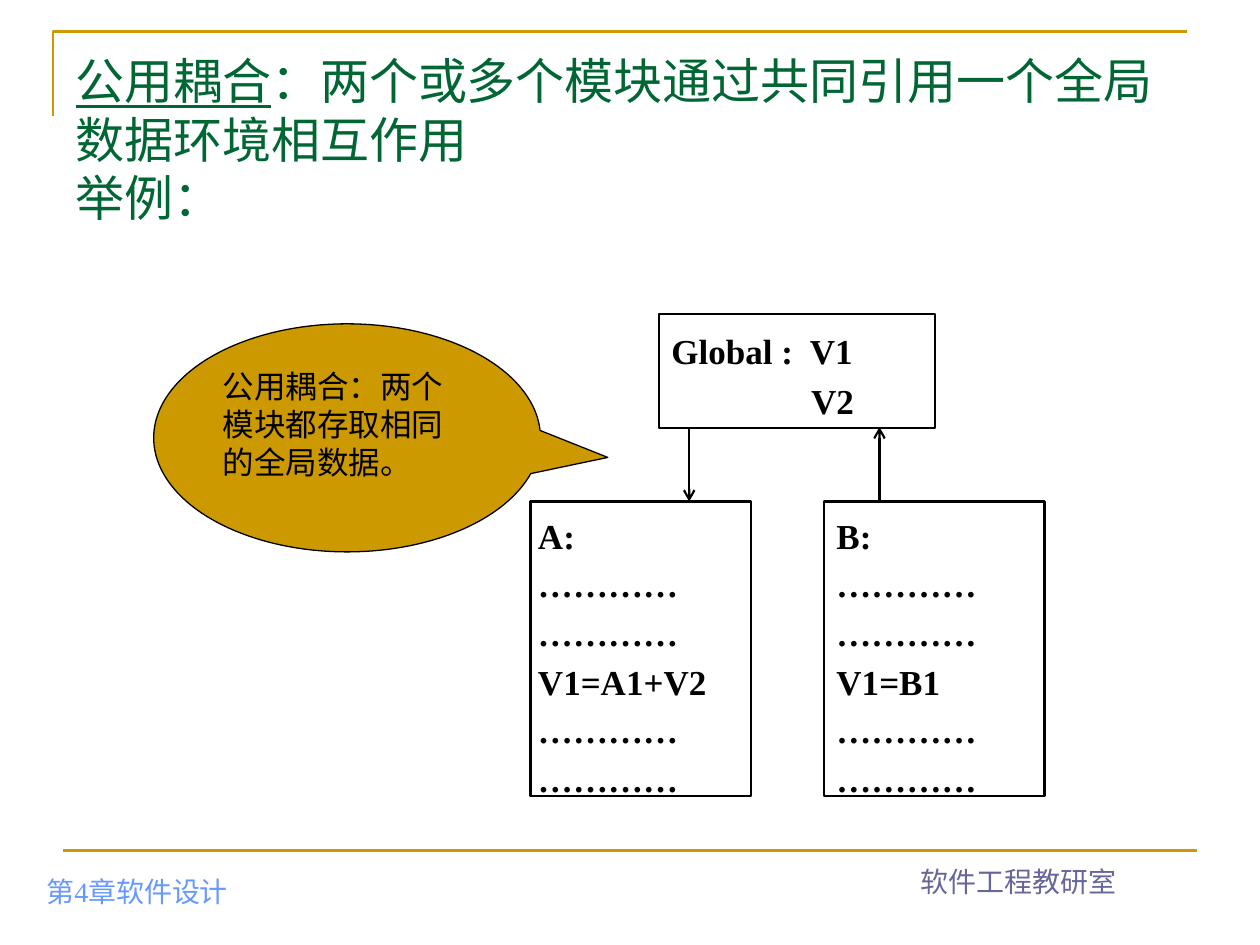
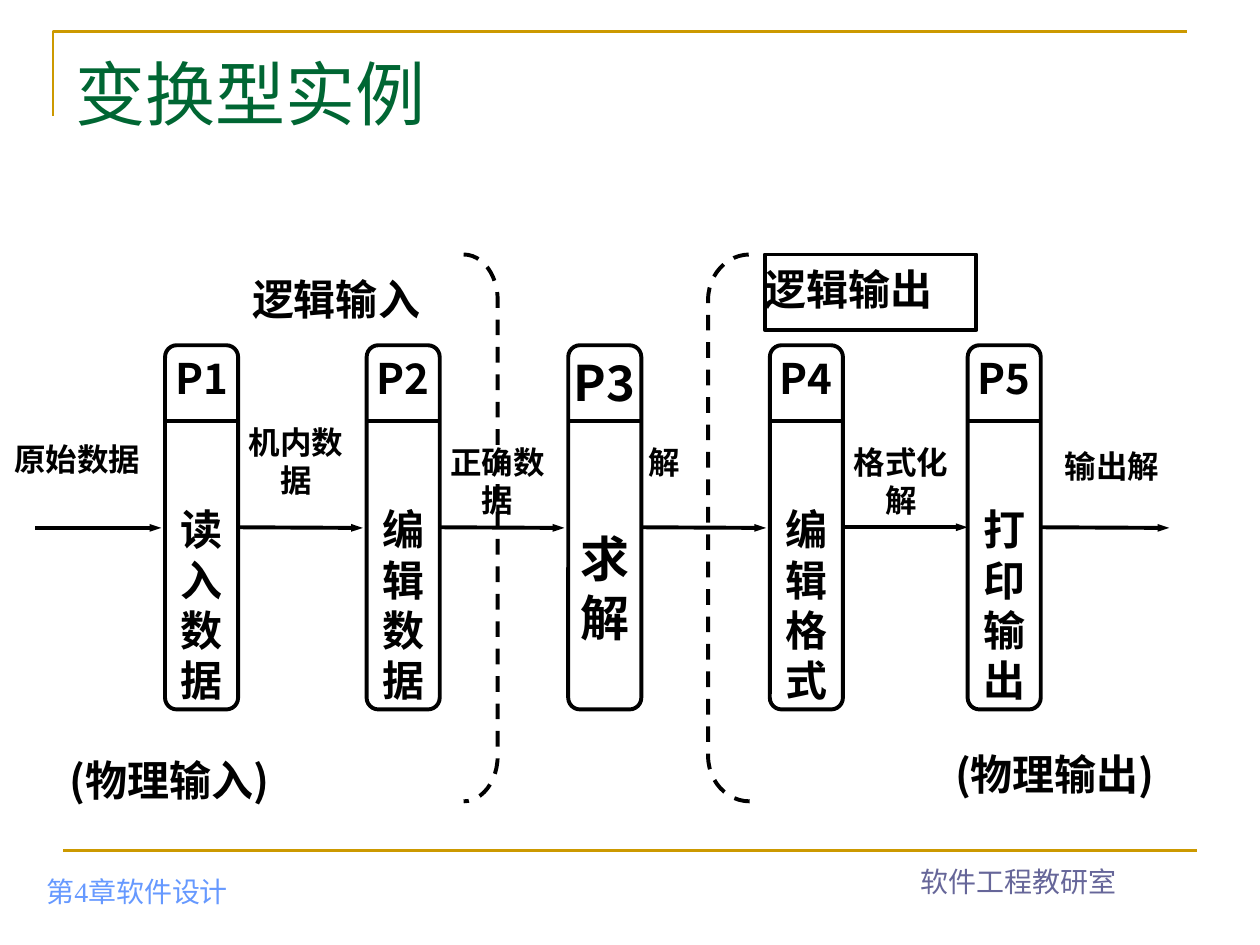
from lxml import etree
from pptx import Presentation
from pptx import util as u
from pptx.dml.color import RGBColor
from pptx.enum import dml, shapes, text
from pptx.oxml.ns import qn

Inches = u.Inches
COLORS = {
    "gold": "CC9900",
    "green": "006633",
    "sky": "6699FF",
    "violet": "666699",
    "black": "000000",
    "white": "FFFFFF",
}
SANS = "Noto Sans CJK SC"
SERIF = "Times New Roman"
LEFT, CENTER = text.PP_ALIGN.LEFT, text.PP_ALIGN.CENTER
TOP, BOTTOM = text.MSO_ANCHOR.TOP, text.MSO_ANCHOR.BOTTOM
SHAPE = shapes.MSO_SHAPE


class Deck:
    def __init__(self):
        self.presentation = Presentation()
        self.presentation.slide_width = Inches(10)
        self.presentation.slide_height = Inches(7.5)
        self.slide = None

    def color(self, name):
        return RGBColor.from_string(COLORS[name])

    def new_slide(self):
        layout = self.presentation.slide_layouts[5]
        self.slide = self.presentation.slides.add_slide(layout)
        builder = self.slide.shapes.build_freeform(Inches(0.42), Inches(0.92))
        builder.add_line_segments(
            [(Inches(0.42), Inches(0.25)), (Inches(9.42), Inches(0.25))], close=False)
        self.paint(builder.convert_to_shape(), None, "gold", 1.5)
        self.line((0.5, 6.75), (9.5, 6.75), 1.5, "gold")
        footer = dict(size=16, font=SERIF, anchor=BOTTOM, insets=(0.1, 0.05, 0.1, 0.03))
        self.label((0.27, 6.74, 3.15, 0.5), "第4章软件设计", color="sky", **footer)
        self.label((6.5, 6.66, 3.17, 0.5), "软件工程教研室", color="violet",
                   align=CENTER, **footer)

    def paint(self, shape, fill, line, width):
        shape.shadow.inherit = False
        if fill:
            shape.fill.solid()
            shape.fill.fore_color.rgb = self.color(fill)
        else:
            shape.fill.background()
        shape.line.color.rgb = self.color(line)
        shape.line.width = u.Pt(width)

    def add_run(self, paragraph, words, size, font, color, bold=False, east=SANS):
        run = paragraph.add_run()
        run.text = words
        run.font.size = u.Pt(size)
        run.font.bold = bold
        run.font.color.rgb = self.color(color)
        run.font.name = font
        etree.SubElement(run._r.get_or_add_rPr(), qn("a:ea")).set("typeface", east)
        return run

    def set_frame(self, shape, insets, anchor=TOP):
        frame = shape.text_frame
        frame.word_wrap = True
        frame.auto_size = text.MSO_AUTO_SIZE.NONE
        frame.vertical_anchor = anchor
        (frame.margin_left, frame.margin_top,
         frame.margin_right, frame.margin_bottom) = map(Inches, insets)
        return frame

    def fill_text(self, shape, lines, size, font=SANS, color="black", bold=False,
                  align=LEFT, insets=(0, 0.06, 0, 0), anchor=TOP, spacing=None, east=SANS):
        frame = self.set_frame(shape, insets, anchor)
        for index, words in enumerate(lines):
            paragraph = frame.add_paragraph() if index else frame.paragraphs[0]
            paragraph.alignment = align
            paragraph.line_spacing = u.Pt(spacing or size * 1.2)
            self.add_run(paragraph, words, size, font, color, bold, east)
        return frame.paragraphs

    def title(self, height, size, font, lines, underlined=""):
        title = self.slide.shapes.title
        title.left, title.top, title.width, title.height = map(
            Inches, (0.5, 0.3, 9, height))
        paragraph = self.set_frame(title, (0.1, 0.1, 0.1, 0.05)).paragraphs[0]
        paragraph.alignment = LEFT
        paragraph.line_spacing = u.Pt(size * 1.2)
        if underlined:
            self.add_run(paragraph, underlined, size, font, "green").font.underline = True
        for index, words in enumerate(lines):
            if index:
                paragraph.add_line_break()
            self.add_run(paragraph, words, size, font, "green")

    def label(self, box, words, size, **style):
        shape = self.slide.shapes.add_textbox(*map(Inches, box))
        self.fill_text(shape, [words], size, **style)

    def shape(self, kind, box, fill=None, width=2.25, adjustments=()):
        shape = self.slide.shapes.add_shape(kind, *map(Inches, box))
        for index, value in enumerate(adjustments):
            shape.adjustments[index] = value
        self.paint(shape, fill, "black", width)
        return shape

    def line(self, start, end, width, color="black", head=None, head_width="med"):
        connector = self.slide.shapes.add_connector(
            shapes.MSO_CONNECTOR.STRAIGHT, *map(Inches, start + end))
        connector.line.color.rgb = self.color(color)
        connector.line.width = u.Pt(width)
        properties = connector._element.spPr
        etree.SubElement(properties, qn("a:effectLst"))
        if head:
            tail = etree.SubElement(properties.find(qn("a:ln")), qn("a:tailEnd"))
            tail.set("type", head)
            tail.set("w", head_width)
        return connector

    def module(self, box, lines, spacing, insets):
        shape = self.shape(SHAPE.RECTANGLE, box, "white", 1.25)
        return self.fill_text(shape, lines, 20, SERIF, bold=True, insets=insets,
                              spacing=spacing, east=SERIF)

    def process(self, left, name, lines, size):
        box = self.shape(SHAPE.ROUNDED_RECTANGLE, (left, 2.74, 0.58, 2.89),
                         adjustments=[0.16])
        paragraphs = self.fill_text(box, [name] + lines, size, bold=True, align=CENTER,
                                    insets=(0, 0.03, 0, 0))
        paragraphs[1].space_before = u.Pt(size * 2.4)
        self.line((left, 3.34), (left + 0.58, 3.34), 2.25)
        return box

    def bracket(self, kind, left, width):
        shape = self.shape(kind, (left, 2.02, width, 4.34), adjustments=[0.36 / width])
        shape.line.dash_style = dml.MSO_LINE.DASH


def common_coupling(deck):
    deck.new_slide()
    deck.title(1.25, 28, SANS,
               ["：两个或多个模块通过共同引用一个全局数据环境相互作用", "举例："], "公用耦合")

    data = deck.module((5.23, 2.49, 2.19, 0.91), ["Global :  V1", "V2"], 28.6,
                       (0.1, 0.06, 0.1, 0.05))
    data[1]._p.get_or_add_pPr().set("marL", str(Inches(1.11)))

    dots = ["…………"] * 2
    for left, name, statement, inset in [(4.21, "A:", "V1=A1+V2", 0.06),
                                         (6.54, "B:", "V1=B1", 0.1)]:
        deck.module((left, 3.98, 1.75, 2.34), [name] + dots + [statement] + dots, 27.8,
                    (inset, 0.05, 0.02, 0.05))
    deck.line((5.47, 3.4), (5.47, 3.98), 1.25, head="arrow")
    deck.line((6.98, 3.98), (6.98, 3.39), 1.25, head="arrow")

    callout = deck.shape(SHAPE.OVAL_CALLOUT, (1.22, 2.57, 3.07, 1.81), "gold", 0.75,
                         [0.674, 0.086])
    deck.fill_text(callout, ["公用耦合：两个模块都存取相同的全局数据。"], 18, "Arial",
                   insets=(0.1, 0.08, 0.1, 0.05))


def transform_example(deck):
    deck.new_slide()
    deck.title(0.78, 40, SERIF, ["变换型实例"])

    processes = [
        (1.31, "P1", ["读入", "数据"], 24),
        (2.91, "P2", ["编辑", "数据"], 24),
        (4.51, "P3", ["求解"], 28),
        (6.11, "P4", ["编辑", "格式"], 24),
        (7.68, "P5", ["打印", "输出"], 24),
    ]
    boxes = [deck.process(*process) for process in processes]

    for index in range(6):
        start = 0.28 + 1.6 * index
        arrow = deck.line((start, 4.19), (start + 1, 4.19), 2.25,
                          head="triangle", head_width="sm")
        if index:
            arrow.begin_connect(boxes[index - 1], 3)
        if index == 4:
            arrow.end_connect(boxes[index], 1)

    flows = [
        ((0.08, 3.43, 1.07, 0.64), "原始数据", CENTER),
        ((1.95, 3.3, 0.8, 0.77), "机内数据", CENTER),
        ((3.55, 3.46, 0.8, 0.6), "正确数据", CENTER),
        ((5.15, 3.46, 0.27, 0.6), "解", LEFT),
        ((6.75, 3.46, 0.8, 0.6), "格式化解", CENTER),
        ((8.45, 3.49, 1.13, 0.64), "输出解", LEFT),
    ]
    for box, words, align in flows:
        deck.label(box, words, 18, bold=True, align=align)

    deck.bracket(SHAPE.LEFT_BRACKET, 5.62, 0.33)
    deck.bracket(SHAPE.RIGHT_BRACKET, 3.68, 0.27)

    logical_output = deck.shape(SHAPE.RECTANGLE, (6.07, 2.02, 1.68, 0.6))
    deck.fill_text(logical_output, ["逻辑输出"], 24, bold=True, insets=(0, 0.07, 0, 0))
    for box, words in [((2, 2.1, 1.68, 0.44), "逻辑输入"),
                       ((0.55, 5.92, 1.78, 0.48), "(物理输入)"),
                       ((7.58, 5.87, 1.84, 0.48), "(物理输出)")]:
        deck.label(box, words, 24, bold=True, insets=(0, 0.07, 0, 0))


def main():
    deck = Deck()
    common_coupling(deck)
    transform_example(deck)
    deck.presentation.save("out.pptx")


if __name__ == "__main__":
    main()
